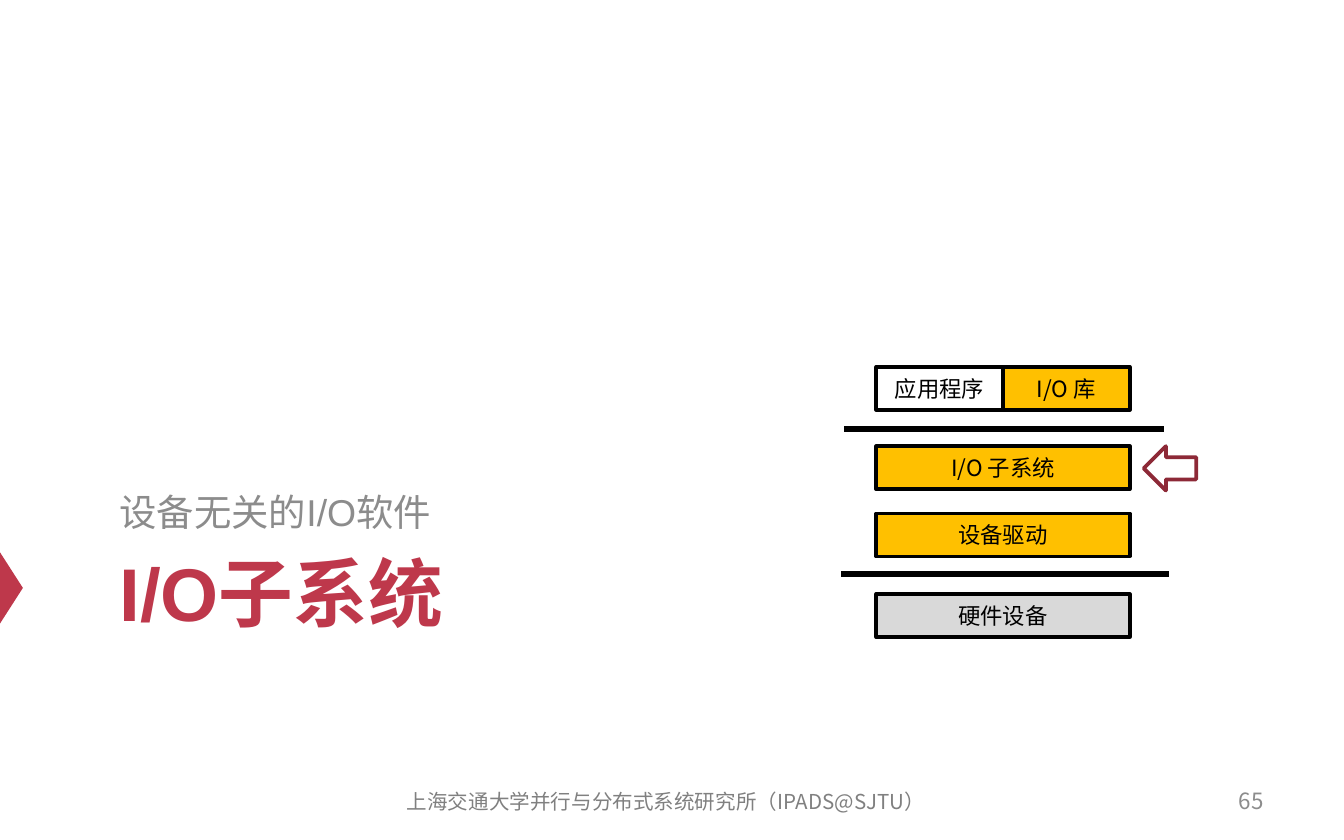
from typing import NamedTuple, Optional

from lxml import etree
from pptx import Presentation
from pptx import util as u
from pptx.dml.color import RGBColor
from pptx.enum import shapes, text
from pptx.oxml.ns import qn

COLORS = {
    "red": "BE384B", "dark_red": "8D2937", "gray": "8C8C8C",
    "footer": "808080", "black": "000000", "amber": "FFC000", "light": "D9D9D9",
}
LATIN, CJK = "Arial", "Noto Sans CJK SC"
WIDTH, HEIGHT = u.Inches(10), u.Inches(6.25)


class Area(NamedTuple):
    """Left and width in percent of slide width, top and height in percent of its height."""
    left: float
    top: float
    width: float
    height: float

    def emu(self) -> tuple:
        return (across(self.left), down(self.top), across(self.width), down(self.height))


class Layer(NamedTuple):
    label: str
    top: float
    fill: Optional[str]
    column: int = 0
    span: int = 2


class Boundary(NamedTuple):
    left: float
    right: float
    top: float


# The I/O stack is two columns wide
STACK_LEFT, COLUMN, ROW = 65.2, 9.43, 5.12
LAYERS = [
    Layer("应用程序", 43.68, None, 0, 1),
    Layer("I/O 库", 43.68, "amber", 1, 1),
    Layer("I/O 子系统", 53.12, "amber"),
    Layer("设备驱动", 61.12, "amber"),
    Layer("硬件设备", 70.72, "light"),
]
BOUNDARIES = [Boundary(62.8, 86.6, 51.04), Boundary(62.6, 87, 68.32)]


def across(percent: float) -> int:
    return round(WIDTH * percent / 100)


def down(percent: float) -> int:
    return round(HEIGHT * percent / 100)


def color(name: str) -> RGBColor:
    return RGBColor.from_string(COLORS[name])


def write(shape, words: str, *, size: float, ink: str, font: str = CJK, bold: bool = False,
          align=text.PP_ALIGN.LEFT, anchor=text.MSO_ANCHOR.MIDDLE,
          spacing: float = 1.0, side_inset: float = 0.1) -> None:
    frame = shape.text_frame
    frame.word_wrap = True
    frame.vertical_anchor = anchor
    frame.margin_left = frame.margin_right = u.Inches(side_inset)
    paragraph = frame.paragraphs[0]
    paragraph.alignment = align
    paragraph.line_spacing = spacing
    run = paragraph.add_run()
    run.text = words
    run.font.size = u.Pt(size)
    run.font.bold = bold
    run.font.name = font
    run.font.color.rgb = color(ink)
    east_asian = etree.SubElement(run._r.get_or_add_rPr(), qn("a:ea"))
    east_asian.set("typeface", CJK)


def add_text(slide, area: Area, words: str, **style) -> None:
    write(slide.shapes.add_textbox(*area.emu()), words, **style)


def add_shape(slide, kind, area: Area, fill: Optional[str] = None, line: Optional[str] = None):
    shape = slide.shapes.add_shape(kind, *area.emu())
    shape.shadow.inherit = False
    if fill:
        shape.fill.solid()
        shape.fill.fore_color.rgb = color(fill)
    else:
        shape.fill.background()
    if line:
        shape.line.color.rgb = color(line)
        shape.line.width = u.Pt(2)
    else:
        shape.line.fill.background()
    return shape


def add_layer(slide, layer: Layer) -> None:
    area = Area(STACK_LEFT + layer.column * COLUMN, layer.top, layer.span * COLUMN, ROW)
    shape = add_shape(slide, shapes.MSO_SHAPE.RECTANGLE, area, layer.fill, "black")
    write(shape, layer.label, size=12, ink="black",
          align=text.PP_ALIGN.CENTER, side_inset=0)


def add_boundary(slide, boundary: Boundary) -> None:
    top = down(boundary.top)
    line = slide.shapes.add_connector(
        shapes.MSO_CONNECTOR.STRAIGHT, across(boundary.left), top, across(boundary.right), top)
    line.line.color.rgb = color("black")
    line.line.width = u.Pt(3)
    etree.SubElement(line._element.spPr, qn("a:effectLst"))


def main() -> None:
    presentation = Presentation()
    presentation.slide_width, presentation.slide_height = WIDTH, HEIGHT
    slide = presentation.slides.add_slide(presentation.slide_layouts[6])

    # Marker at the left edge
    marker = add_shape(slide, shapes.MSO_SHAPE.ISOSCELES_TRIANGLE,
                       Area(-1.8, 68.64, 5.3, 2.72), "red")
    marker.rotation = 90

    # Section heading
    add_text(slide, Area(7.9, 64.32, 85, 19.84), "I/O子系统", size=40, ink="red",
             font=LATIN, bold=True, anchor=text.MSO_ANCHOR.TOP)
    add_text(slide, Area(7.9, 42.4, 85, 21.92), "设备无关的I/O软件", size=20, ink="gray",
             font=LATIN, anchor=text.MSO_ANCHOR.BOTTOM, spacing=1.2)

    # Footer
    add_text(slide, Area(71.7, 92.64, 23.3, 5.28), "65", size=12, ink="gray",
             align=text.PP_ALIGN.RIGHT)
    add_text(slide, Area(27.9, 92.8, 43.3, 5.28),
             "上海交通大学并行与分布式系统研究所（IPADS@SJTU）", size=11, ink="footer",
             align=text.PP_ALIGN.CENTER)

    # I/O stack with the current layer pointed out
    for layer in LAYERS:
        add_layer(slide, layer)
    for boundary in BOUNDARIES:
        add_boundary(slide, boundary)
    add_shape(slide, shapes.MSO_SHAPE.LEFT_ARROW, Area(85.1, 53.12, 3.9, 5.28),
              line="dark_red")

    presentation.save("out.pptx")


if __name__ == "__main__":
    main()
